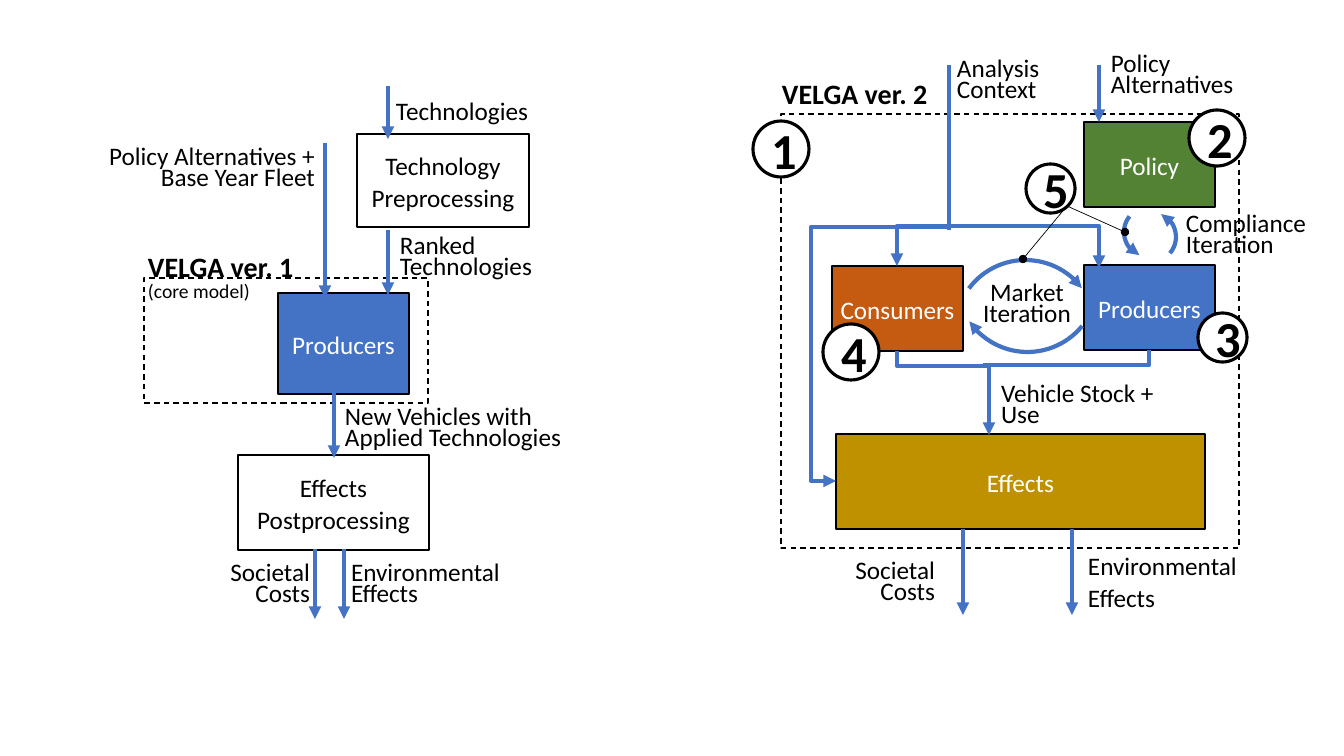
import pptx
import pptx.util
import pptx.dml.color
import pptx.enum.dml
import pptx.enum.shapes
import pptx.enum.text
import pptx.oxml
import pptx.oxml.ns

PX = 914400 / 100.8
RGB = pptx.dml.color.RGBColor
BLUE, GREEN = RGB(0x44, 0x72, 0xC4), RGB(0x54, 0x82, 0x35)
ORANGE, GOLD = RGB(0xC5, 0x5A, 0x11), RGB(0xBF, 0x90, 0x00)
BLACK, WHITE = RGB(0, 0, 0), RGB(0xFF, 0xFF, 0xFF)
SHAPE = pptx.enum.shapes.MSO_SHAPE
CONNECTOR = pptx.enum.shapes.MSO_CONNECTOR
LEFT, CENTER, RIGHT = (pptx.enum.text.PP_ALIGN.LEFT, pptx.enum.text.PP_ALIGN.CENTER,
                       pptx.enum.text.PP_ALIGN.RIGHT)


def emu(px):
    """Turn pixels into EMU."""
    return pptx.util.Emu(round(px * PX))


def element(tag, attributes=""):
    """Return a new drawing element."""
    return pptx.oxml.parse_xml(f'<a:{tag} {pptx.oxml.ns.nsdecls("a")} {attributes}/>')


def add_head(sp, head):
    """Put an arrowhead at the end of a line."""
    sp.element.spPr.get_or_add_ln().append(element("tailEnd", f'type="{head}"'))


def write(sp, lines, size=18, color=BLACK, bold=False, align=LEFT, spacing=0.7, inset=0):
    """Write one paragraph per line into a shape; inset None keeps the default margins."""
    tf = sp.text_frame
    tf.word_wrap = True
    tf.vertical_anchor = pptx.enum.text.MSO_ANCHOR.MIDDLE
    if inset is not None:
        tf.margin_left = tf.margin_right = tf.margin_top = tf.margin_bottom = emu(inset)
    for i, line in enumerate(lines):
        p = tf.add_paragraph() if i else tf.paragraphs[0]
        p.alignment, p.line_spacing = align, spacing
        r = p.add_run()
        r.text = line
        r.font.name, r.font.size, r.font.bold = "Calibri", pptx.util.Pt(size), bold
        r.font.color.rgb = color
    return tf


class Region:
    """A part of the slide whose shapes are placed from its top left corner."""

    def __init__(self, s, left, top):
        """Remember the slide's shapes and the corner."""
        self.shapes, self.left, self.top = s.shapes, left, top

    def at(self, x, y):
        """Return a point of the region in slide EMU."""
        return emu(self.left + x), emu(self.top + y)

    def shape(self, kind, x, y, w, h, fill=None, line=BLACK, width=1):
        """Add a preset shape with plain fill and outline."""
        sp = self.shapes.add_shape(kind, *self.at(x, y), emu(w), emu(h))
        sp.shadow.inherit = False
        if fill is None:
            sp.fill.background()
        else:
            sp.fill.solid()
            sp.fill.fore_color.rgb = fill
        sp.line.color.rgb, sp.line.width = line, pptx.util.Pt(width)
        return sp

    def label(self, x, y, w, h, *lines, **style):
        """Add a text box."""
        return write(self.shapes.add_textbox(*self.at(x, y), emu(w), emu(h)), lines, **style)

    def box(self, x, y, w, h, *lines, fill=None):
        """Add a process box with centred text."""
        sp = self.shape(SHAPE.RECTANGLE, x, y, w, h, fill)
        write(sp, lines, color=WHITE if fill else BLACK, align=CENTER, spacing=1.07, inset=2)

    def boundary(self, x, y, w, h):
        """Add the dashed outline of a model."""
        sp = self.shape(SHAPE.RECTANGLE, x, y, w, h)
        sp.line.dash_style = pptx.enum.dml.MSO_LINE.DASH

    def badge(self, x, y, size, number):
        """Add a numbered circle."""
        sp = self.shape(SHAPE.OVAL, x, y, size, size, WHITE, width=2.25)
        write(sp, [number], size=36, bold=True, align=CENTER, spacing=1, inset=None)

    def arc(self, x, y, size, rotation, flip=False):
        """Add a curved arrow."""
        sp = self.shape(SHAPE.ARC, x, y, size, size, line=BLUE, width=3)
        sp.adjustments[0], sp.adjustments[1] = 162, 9.88
        sp.rotation = rotation
        if flip:
            sp.element.spPr.xfrm.set("flipV", "1")
        add_head(sp, "triangle")

    def line(self, x1, y1, x2, y2, head="triangle", color=BLUE, width=3, bend=None, adjust=None):
        """Add a straight or bent connector."""
        kind = CONNECTOR.ELBOW if bend else CONNECTOR.STRAIGHT
        c = self.shapes.add_connector(kind, *self.at(x1, y1), *self.at(x2, y2))
        c.line.color.rgb, c.line.width = color, pptx.util.Pt(width)
        spPr = c.element.spPr
        if bend:
            geom = spPr.find(pptx.oxml.ns.qn("a:prstGeom"))
            geom.set("prst", bend)
            if adjust:
                geom.get_or_add_avLst().append(
                    element("gd", f'name="adj1" fmla="val {round(adjust * 100000)}"'))
        if head:
            add_head(c, head)
        spPr.append(element("effectLst"))


def version_1(s, left, top):
    """Draw the flow of the first model."""
    g = Region(s, left, top)
    g.box(287, 48, 172, 93, "Technology Preprocessing")
    g.box(208, 207, 131, 101, "Producers", fill=BLUE)
    g.box(168, 369, 191, 95, "Effects", "Postprocessing")
    g.boundary(74, 192, 284, 125)
    tf = g.label(76, 173, 168, 40, "VELGA ver. 1", "(core model)",
                 size=20, bold=True, spacing=0.8, inset=2)
    note = tf.paragraphs[1].runs[0].font
    note.size, note.bold = pptx.util.Pt(14), False
    for x, y1, y2 in [(318, 0, 53), (255, 57, 212), (318, 144, 209), (264, 307, 372),
                      (245, 463, 533), (274, 463, 533)]:
        g.line(x, y1, x, y2)
    g.label(326, 0, 157, 57, "Technologies")
    g.label(0, 55, 245, 57, "Policy Alternatives +", "Base Year Fleet", align=RIGHT)
    g.label(330, 144, 217, 57, "Ranked", "Technologies")
    g.label(275, 320, 226, 48, "New Vehicles with", "Applied Technologies")
    g.label(122, 466, 118, 67, "Societal", "Costs", align=RIGHT)
    g.label(281, 466, 156, 67, "Environmental", "Effects")


def version_2(s, left, top):
    """Draw the flow of the second model with its numbered parts."""
    g = Region(s, left, top)
    g.box(110, 211, 131, 85, "Consumers", fill=ORANGE)
    g.box(362, 210, 131, 85, "Producers", fill=BLUE)
    g.box(362, 67, 131, 85, "Policy", fill=GREEN)
    g.box(114, 379, 369, 95, "Effects", fill=GOLD)
    g.boundary(59, 59, 458, 434)
    g.label(58, 24, 166, 34, "VELGA ver. 2", size=20, bold=True, spacing=0.8, inset=2)

    for x, y1, y2 in [(377, 10, 67), (267, 310, 380), (241, 474, 560), (350, 474, 560)]:
        g.line(x, y1, x, y2)
    g.line(227, 10, 227, 175, head=None)
    g.line(227, 172, 114, 426, bend="bentConnector3", adjust=1.22)
    for ends, head in [((233, 171, 175, 211), "triangle"), ((225, 171, 377, 213), "triangle"),
                       ((267, 311, 175, 296), None), ((261, 310, 427, 295), None)]:
        g.line(*ends, head=head, bend="bentConnector2")
    g.arc(233, 205, 141, 306.6)
    g.arc(235, 156, 141, 129.1)
    g.arc(402, 152, 50, 128.9, flip=True)
    g.arc(404, 157, 50, 310.5, flip=True)

    g.label(235, 6, 166, 42, "Analysis Context")
    g.label(389, 0, 177, 44, "Policy Alternatives")
    g.label(464, 160, 177, 44, "Compliance", "Iteration")
    g.label(244, 229, 122, 44, "Market", "Iteration", align=CENTER)
    g.label(279, 323, 271, 57, "Vehicle Stock +", "Use")
    g.label(0, 495, 213, 67, "Societal", "Costs", align=RIGHT)
    tf = g.label(366, 497, 213, 67, "Environmental", "Effects")
    tf.paragraphs[1].line_spacing = 1.07

    for x, y, size, number in [(31, 66, 56, "1"), (467, 55, 56, "2"), (476, 258, 49, "3"),
                               (101, 269, 56, "4"), (304, 109, 49, "5")]:
        g.badge(x, y, size, number)
    for x, y in [(301, 204), (403, 177)]:
        g.line(345, 151, x, y, head="oval", color=BLACK, width=0.5)


prs = pptx.Presentation()
prs.slide_width, prs.slide_height = emu(1344), emu(756)
s = prs.slides.add_slide(prs.slide_layouts[6])
version_1(s, 70, 86)
version_2(s, 722, 55)
prs.save("out.pptx")
